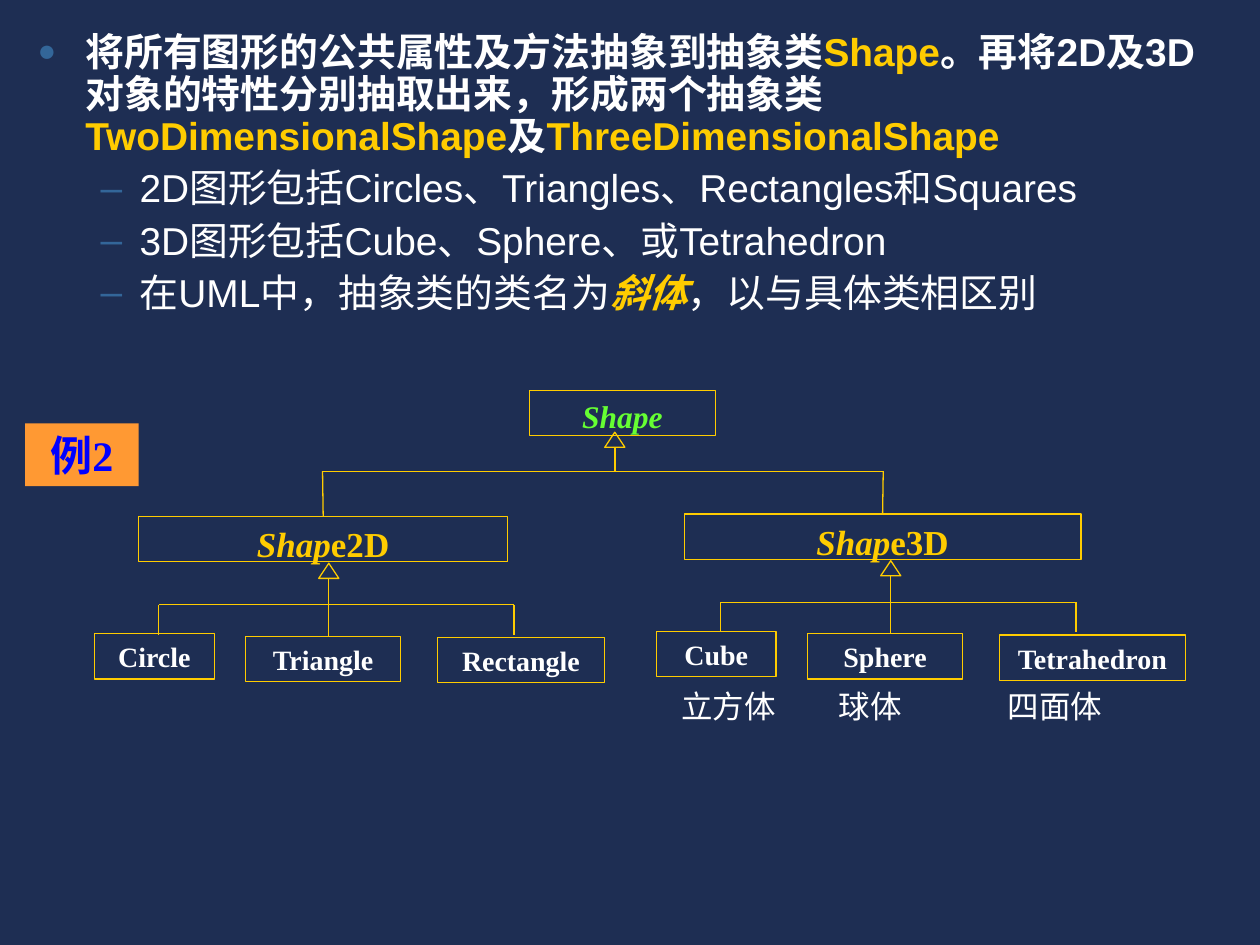
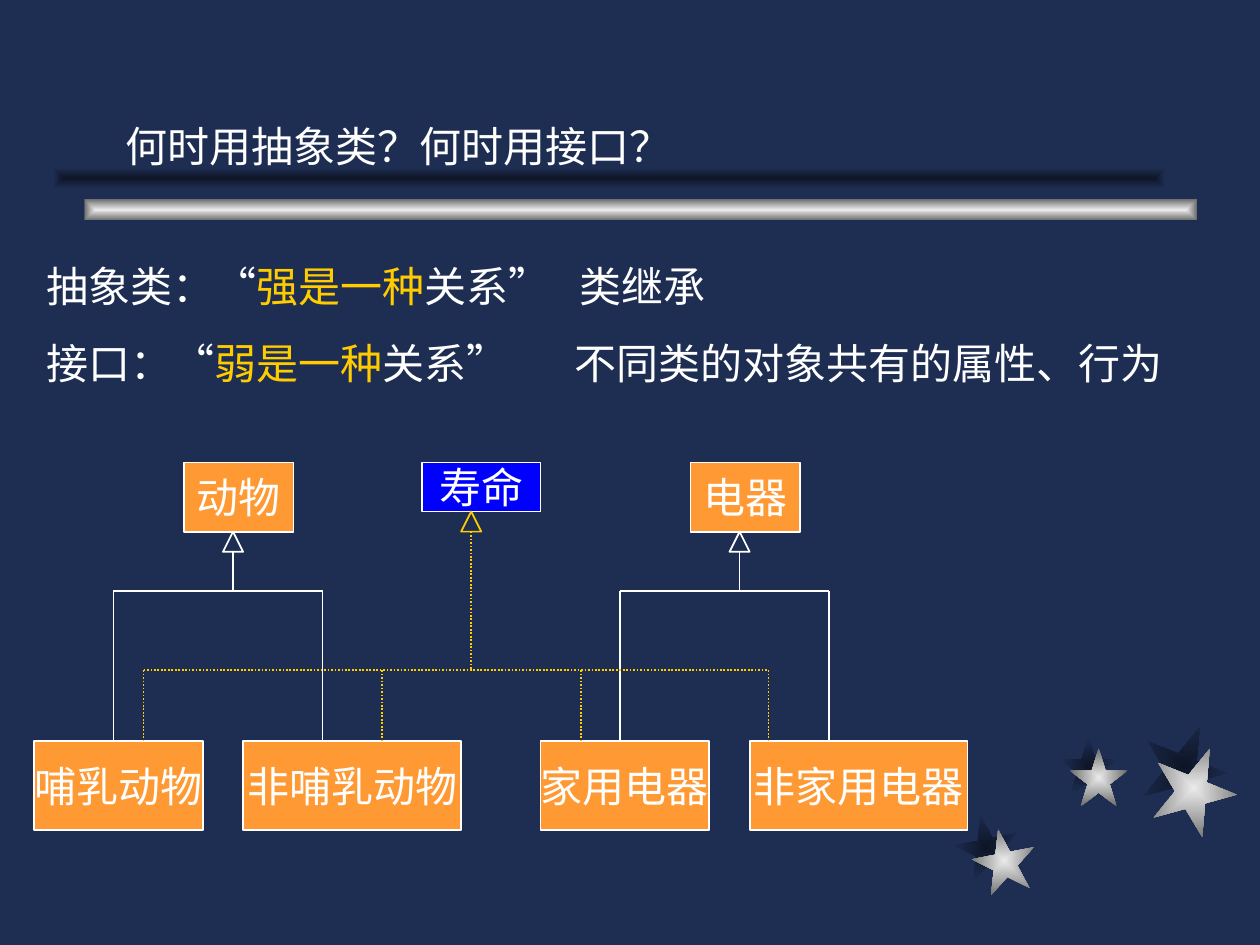
from lxml import etree
from pptx import Presentation
from pptx.dml.color import RGBColor
from pptx.enum.dml import MSO_LINE
from pptx.enum.shapes import MSO_CONNECTOR, MSO_SHAPE
from pptx.enum.text import MSO_ANCHOR, PP_ALIGN
from pptx.oxml import parse_xml
from pptx.oxml.ns import nsdecls, qn
from pptx.util import Inches, Pt

RECT, STAR = MSO_SHAPE.RECTANGLE, MSO_SHAPE.STAR_5_POINT
TRIANGLE, EXTRACT = MSO_SHAPE.ISOSCELES_TRIANGLE, MSO_SHAPE.FLOWCHART_EXTRACT
STRAIGHT = MSO_CONNECTOR.STRAIGHT
CENTER, TOP, MIDDLE = PP_ALIGN.CENTER, MSO_ANCHOR.TOP, MSO_ANCHOR.MIDDLE
DOTTED = MSO_LINE.ROUND_DOT

COLORS = {
    "navy": "1E2E53", "white": "FFFFFF", "gold": "FFCC00", "green": "66FF33",
    "orange": "FF9933", "blue": "0000FF", "bullet": "336699",
    "silver": "EAEAEA", "grey": "6C6C6C", "shadow": "0E1526",
}
METAL, SHADE = ("silver", "grey"), ("shadow", "navy")

# Text formats
POINT = {"name": "Arial", "size": Pt(22.2)}
HEADING = {"name": "Times New Roman", "size": Pt(24)}
CAPTION = {**HEADING, "size": Pt(18)}
BADGE = {**HEADING, "bold": True}
TOP_CLASS = {**CAPTION, "bold": True}
ABSTRACT = {**BADGE, "size": Pt(20)}
CONCRETE = {**BADGE, "size": Pt(16)}

# Line formats: colour, width, arrow shape and size
UML = {"color": "gold", "width": 0.75, "arrow": TRIANGLE, "size": (0.16, 0.12)}
EXTENDS = {"color": "white", "width": 1, "arrow": EXTRACT, "size": (0.16, 0.16)}
IMPLEMENTS = {**EXTENDS, "color": "gold", "dash": DOTTED}


def rgb(name):
    return RGBColor.from_string(COLORS[name])


def apply(target, values):
    for name, value in values.items():
        setattr(target, name, value)


def write(paragraph, runs, form):
    """Each run is (text, colour) or (text, colour, extra font values)."""
    for text, color, *extra in runs:
        run = paragraph.add_run()
        run.text = text
        apply(run.font, {**form, **(extra[0] if extra else {})})
        run.font.color.rgb = rgb(color)


def add_tabs(paragraph, stops):
    tab_list = etree.SubElement(paragraph._p.get_or_add_pPr(), qn("a:tabLst"))
    for stop in stops:
        etree.SubElement(tab_list, qn("a:tab"), pos=str(Inches(stop)), algn="l")


def add_bullet(paragraph, char, margin, hanging, percent):
    props = paragraph._p.get_or_add_pPr()
    props.set("marL", str(Inches(margin)))
    props.set("indent", str(-Inches(hanging)))
    color = etree.SubElement(props, qn("a:buClr"))
    etree.SubElement(color, qn("a:srgbClr"), val=COLORS["bullet"])
    etree.SubElement(props, qn("a:buSzPct"), val=str(percent * 1000))
    etree.SubElement(props, qn("a:buFont"), typeface="Arial")
    etree.SubElement(props, qn("a:buChar"), char=char)


def text_box(slide, box):
    area = slide.shapes.add_textbox(*map(Inches, box))
    area.text_frame.word_wrap = True
    return area


def plain_shape(slide, kind, box, fill=None, line=None, width=0.75):
    shape = slide.shapes.add_shape(kind, *map(Inches, box))
    shape.shadow.inherit = False
    if fill:
        shape.fill.solid()
        shape.fill.fore_color.rgb = rgb(fill)
    else:
        shape.fill.background()
    if line:
        shape.line.color.rgb = rgb(line)
        shape.line.width = Pt(width)
    else:
        shape.line.fill.background()
    return shape


def glowing_shape(slide, kind, box, colors, rotation=0):
    """Shape filled from the middle outwards with two colours."""
    shape = plain_shape(slide, kind, box)
    shape.rotation = rotation
    inner, outer = (COLORS[name] for name in colors)
    gradient = parse_xml(
        f'<a:gradFill {nsdecls("a")} rotWithShape="1"><a:gsLst>'
        f'<a:gs pos="0"><a:srgbClr val="{inner}"/></a:gs>'
        f'<a:gs pos="100000"><a:srgbClr val="{outer}"/></a:gs></a:gsLst>'
        '<a:path path="rect"><a:fillToRect l="50000" t="50000" r="50000" b="50000"/></a:path>'
        '</a:gradFill>')
    props = shape._element.spPr
    props.replace(props.find(qn("a:noFill")), gradient)


def class_box(slide, box, runs, form, fill=None, line="gold", width=0.75,
              anchor=TOP, wrap=True):
    shape = plain_shape(slide, RECT, box, fill, line, width)
    apply(shape.text_frame, {"vertical_anchor": anchor, "word_wrap": wrap})
    paragraph = shape.text_frame.paragraphs[0]
    paragraph.alignment = CENTER
    write(paragraph, runs, form)
    return shape


def rule(slide, start, end, style):
    line = slide.shapes.add_connector(STRAIGHT, *map(Inches, (*start, *end)))
    line.line.color.rgb = rgb(style["color"])
    line.line.width = Pt(style["width"])
    if "dash" in style:
        line.line.dash_style = style["dash"]
    etree.SubElement(line._element.spPr, qn("a:effectLst"))
    return line


def inheritance(slide, tip, bar_y, feet, foot_y, style, stem_end=None):
    """Hollow arrow at tip, its stem, a cross bar, and drops at the feet."""
    x, y = tip
    width, height = style["size"]
    plain_shape(slide, style["arrow"], (x - width / 2, y, width, height),
                line=style["color"], width=style["width"])
    rule(slide, (x, y + height), (x, stem_end or bar_y), style)
    rule(slide, (feet[0], bar_y), (feet[-1], bar_y), style)
    return [rule(slide, (foot, bar_y), (foot, foot_y), style) for foot in feet]


# Slide 1: abstract classes
def point_list(slide, box):
    points = [
        [("将所有图形的公共属性及方法抽象到抽象类", "white"), ("Shape", "gold"),
         ("。再将2D及3D对象的特性分别抽取出来，形成两个抽象类", "white"),
         ("TwoDimensionalShape", "gold"), ("及", "white"),
         ("ThreeDimensionalShape", "gold")],
        [("2D图形包括Circles、Triangles、Rectangles和Squares", "white")],
        [("3D图形包括Cube、Sphere、或Tetrahedron", "white")],
        [("在UML中，抽象类的类名为", "white"),
         ("斜体", "gold", {"bold": True, "italic": True}),
         ("，以与具体类相区别", "white")],
    ]
    frame = text_box(slide, box).text_frame
    for index, runs in enumerate(points):
        paragraph = frame.add_paragraph() if index else frame.paragraphs[0]
        if index:
            add_bullet(paragraph, "–", 0.81, 0.31, 100)
            apply(paragraph, {"level": 1, "space_before": Pt(6)})
        else:
            add_bullet(paragraph, "●", 0.38, 0.38, 80)
        paragraph.line_spacing = 0.9
        write(paragraph, runs, {**POINT, "bold": index == 0})


def shape_family(slide, left, top, root_left, root_width, suffix, members):
    root = class_box(slide, (left + root_left, top, root_width, 0.36),
                     [("Shap", "gold", {"italic": True}), (suffix, "gold")], ABSTRACT)
    places = [(0, 0.93), (1.2, 0.95), (2.72, 0.96)]
    for (x, y), (name, width) in zip(places, members):
        class_box(slide, (left + x, top + y, width, 0.36), [(name, "white")], CONCRETE)
    inheritance(slide, (left + 1.86, top + 0.37), top + 0.7,
                (left + 0.51, left + 3.33), top + 0.94, UML, top + 0.95)
    return root


def shape_hierarchy(slide, left, top):
    class_box(slide, (left + 3.45, top, 1.48, 0.36),
              [("Shape", "green", {"italic": True})], TOP_CLASS)
    flat = shape_family(slide, left, top + 1, 0.35, 2.93, "e2D",
                        [("Circle", 0.95), ("Triangle", 1.23), ("Rectangle", 1.33)])
    solid = shape_family(slide, left + 4.46, top + 0.98, 0.22, 3.15, "e3D",
                         [("Cube", 0.95), ("Sphere", 1.23), ("Tetrahedron", 1.48)])
    drops = inheritance(slide, (left + 4.13, top + 0.33), top + 0.64,
                        (left + 1.81, left + 6.26), top + 0.99, UML)
    for drop, root in zip(drops, (flat, solid)):
        drop.end_connect(root, 0)

    # Chinese names under the solids
    names = text_box(slide, (left + 4.56, top + 2.3, 4.25, 0.4)).text_frame.paragraphs[0]
    add_tabs(names, (1.25, 2.59))
    write(names, [("立方体\t球体\t四面体", "white")], CAPTION)


def abstract_class_slide(slide):
    point_list(slide, (0.2, 0.21, 9.57, 2.76))
    shape_hierarchy(slide, 0.75, 3.1)
    class_box(slide, (0.2, 3.36, 0.9, 0.5), [("例2", "blue")], BADGE, "orange", None)


# Slide 2: abstract class or interface
def star_cluster(slide, left, top):
    # x, y, size, rotation, offset of the bright star from its shade
    stars = [(0, 0.72, 0.5, 349, 0.14, 0.11),
             (0.83, 0.1, 0.46, 0, 0.08, 0.09),
             (1.48, 0, 0.67, 22, 0.08, 0.17)]
    for colors, shift in ((SHADE, 0), (METAL, 1)):
        for x, y, size, rotation, dx, dy in stars:
            box = (left + x + dx * shift, top + y + dy * shift, size, size)
            glowing_shape(slide, STAR, box, colors, rotation)


def title_band(slide, left, top, title):
    glowing_shape(slide, RECT, (left + 0.25, top + 0.67, 8.83, 0.17), METAL)
    glowing_shape(slide, RECT, (left, top + 0.42, 8.83, 0.17), SHADE)
    heading = text_box(slide, (left + 0.48, top, 6.77, 0.5))
    write(heading.text_frame.paragraphs[0], [(title, "white")], HEADING)


def comparison(slide, box):
    rows = [("抽象类：“", "强是一种", "关系”\t类继承", 4.23),
            ("接口：“", "弱是一种", "关系”\t不同类的对象共有的属性、行为", 4.19)]
    frame = text_box(slide, box).text_frame
    for index, (term, relation, meaning, stop) in enumerate(rows):
        paragraph = frame.add_paragraph() if index else frame.paragraphs[0]
        add_tabs(paragraph, [stop])
        if index:
            paragraph.space_before = Pt(15)
        write(paragraph, [(term, "white"), (relation, "gold"), (meaning, "white")], HEADING)


def filled_class(slide, box, name, fill="orange"):
    class_box(slide, box, [(name, "white")], HEADING, fill, "white", 1, MIDDLE, False)


def kind_family(slide, left, top, root, first, second):
    filled_class(slide, (left + 1.19, top, 0.87, 0.55), root)
    filled_class(slide, (left, top + 2.21, 1.34, 0.71), first)
    filled_class(slide, (left + 1.66, top + 2.21, 1.73, 0.71), second)
    inheritance(slide, (left + 1.58, top + 0.55), top + 1.02,
                (left + 0.63, left + 2.29), top + 2.21, EXTENDS)


def lifespan_diagram(slide, left, top):
    kind_family(slide, left, top, "动物", "哺乳动物", "非哺乳动物")
    kind_family(slide, left + 4.02, top, "电器", "家用电器", "非家用电器")
    filled_class(slide, (left + 3.08, top, 0.94, 0.39), "寿命", "blue")
    feet = [left + x for x in (0.87, 2.76, 4.34, 5.83)]
    inheritance(slide, (left + 3.47, top + 0.39), top + 1.65, feet, top + 2.21, IMPLEMENTS)


def interface_slide(slide):
    star_cluster(slide, 7.58, 5.75)
    title_band(slide, 0.42, 0.91, "何时用抽象类？何时用接口？")
    comparison(slide, (0.27, 2.02, 9.37, 1.11))
    lifespan_diagram(slide, 0.27, 3.67)


def main():
    prs = Presentation()
    apply(prs, {"slide_width": Inches(10), "slide_height": Inches(7.5)})
    backdrop = prs.slide_master.background.fill
    backdrop.solid()
    backdrop.fore_color.rgb = rgb("navy")
    for build in (abstract_class_slide, interface_slide):
        build(prs.slides.add_slide(prs.slide_layouts[6]))
    prs.save("out.pptx")


if __name__ == "__main__":
    main()
